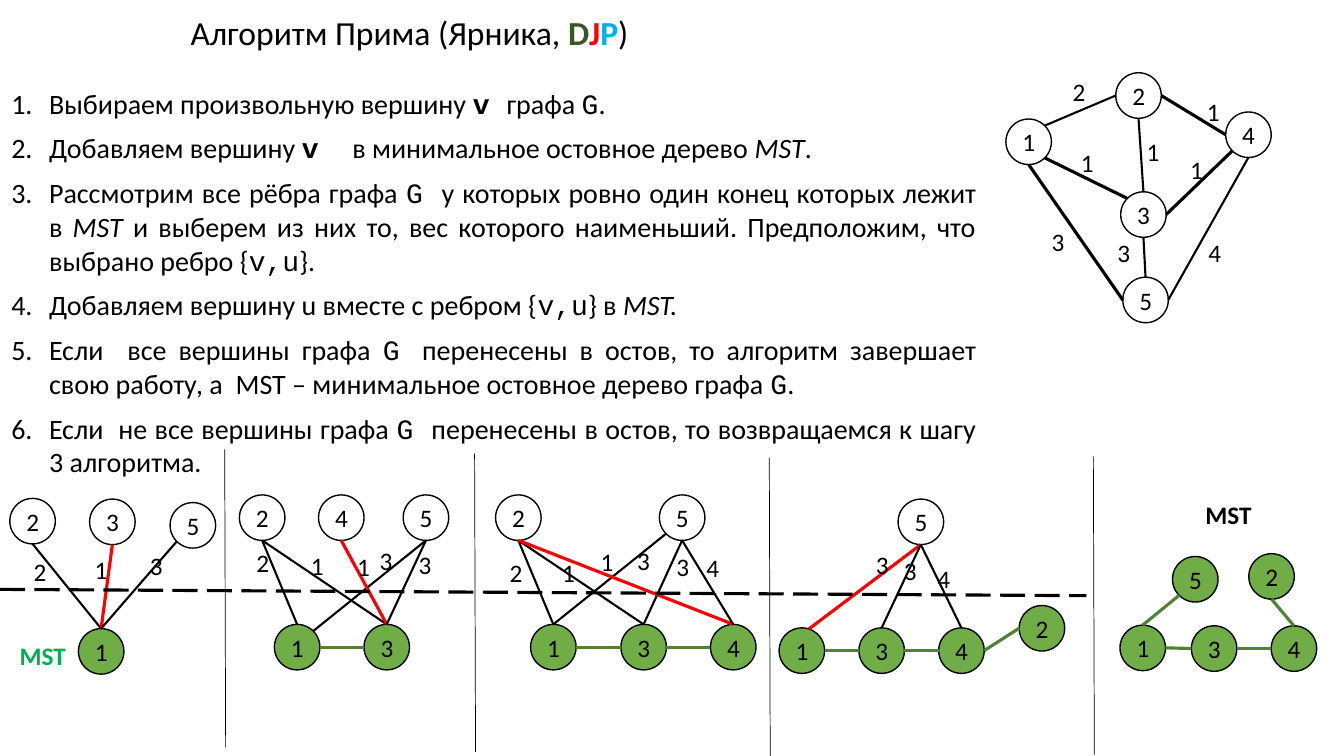
from math import cos, pi, sin
from lxml import etree
from pptx import Presentation
from pptx.dml.color import RGBColor
from pptx.enum.dml import MSO_LINE
from pptx.enum.shapes import MSO_CONNECTOR as Link, MSO_SHAPE as Form
from pptx.enum.text import MSO_ANCHOR as Anchor, MSO_AUTO_SIZE as Fit, PP_ALIGN as Align
from pptx.oxml.ns import qn
from pptx.util import Pt

HUES = {"ink": "000000", "red": "FF0000", "tree": "548235", "node": "70AD47",
        "mst": "00B050", "dark": "385723", "sky": "00B0F0"}
LINES = {"thin": ("ink", 1.5), "bold": ("ink", 2.25), "red": ("red", 2.25),
         "tree": ("tree", 2.25), "rule": ("ink", 0.5)}
SIZE = 32.5
N, NW, W, SW, S, SE, E, NE = range(8)

STEPS = [
    [("Выбираем произвольную вершину ", ""), ("v ", "mb"), ("графа ", ""), ("G", "m"), (".", "")],
    [("Добавляем вершину ", ""), ("v  ", "mb"), ("в минимальное остовное дерево ", ""),
     ("MST", "i"), (".", "")],
    [("Рассмотрим все рёбра графа ", ""), ("G ", "m"),
     ("у которых ровно один конец которых лежит в ", ""), ("MST ", "i"),
     ("и выберем из них то, вес которого наименьший. Предположим, что выбрано ребро {", ""),
     ("v,u", "m"), ("}.", "")],
    [("Добавляем вершину u вместе с ребром {", ""), ("v,u", "m"), ("} в ", ""), ("MST.", "i")],
    [("Если  все вершины графа ", ""), ("G ", "m"),
     ("перенесены в остов, то алгоритм завершает свою работу, а  MST – минимальное "
      "остовное дерево графа ", ""), ("G", "m"), (". ", "")],
    [("Если  не все вершины графа ", ""), ("G ", "m"),
     ("перенесены в остов, то возвращаемся к шагу 3 алгоритма.", "")],
]

GRAPHS = [
    {"box": (718, 52), "tree": "",
     "nodes": {"1": (0.5, 33), "2": (79, 0), "3": (82.5, 85), "4": (157.5, 28), "5": (84, 146)},
     "edges": [("1", SE, "3", NW, "bold"), ("3", N, "2", S, "thin"), ("3", E, "4", SW, "bold"),
               ("2", E, "4", W, "bold"), ("3", S, "5", N, "thin"), ("1", NE, "2", W, "thin"),
               ("1", S, "5", W, "bold"), ("4", S, "5", E, "thin")],
     "marks": [("2", 41, -1), ("1", 47, 50), ("1", 94, 42), ("1", 125, 55), ("3", 26, 106),
               ("3", 73, 114), ("4", 138, 114), ("1", 137, 13)]},
    {"box": (0, 354), "tree": "1",
     "nodes": {"1": (56, 95), "2": (7, 2), "3": (64, 2.5), "5": (121.5, 5)},
     "edges": [("2", S, "1", N, "thin"), ("1", N, "3", S, "red"), ("1", N, "5", SW, "thin")],
     "marks": [("2", 17, 40), ("1", 60.5, 38.5), ("3", 100, 35.5), ("MST", 7, 99.5, "mst")]},
    {"box": (161, 354), "tree": "13",
     "nodes": {"1": (35, 92), "2": (10, -0.5), "3": (99, 92), "4": (66.5, -0.5), "5": (127, -0.5)},
     "edges": [("1", E, "3", W, "tree"), ("2", S, "1", N, "thin"), ("1", NE, "5", S, "thin"),
               ("2", S, "3", N, "thin"), ("4", S, "3", N, "red"), ("5", S, "3", N, "thin")],
     "marks": [("2", 15, 33.5), ("1", 54, 35.5), ("3", 103, 32), ("1", 87, 36), ("3", 131, 35)]},
    {"box": (339, 354), "tree": "134",
     "nodes": {"1": (40, 92), "2": (15, -0.5), "3": (104.5, 92), "4": (168.5, 92),
               "5": (132, -0.5)},
     "edges": [("1", E, "3", W, "tree"), ("3", E, "4", W, "tree"), ("2", S, "1", N, "thin"),
               ("1", N, "5", SW, "thin"), ("2", S, "3", N, "thin"), ("5", S, "3", N, "thin"),
               ("2", S, "4", N, "red"), ("5", S, "4", N, "thin")],
     "marks": [("2", 18, 40.5), ("1", 55.5, 40.5), ("3", 109, 32), ("3", 137, 36), ("1", 83, 33),
               ("4", 158.5, 37)]},
    {"box": (550, 354), "tree": "1342",
     "nodes": {"1": (6.5, 94.5), "2": (178, 78.5), "3": (63.5, 94.5), "4": (120.5, 94.5),
               "5": (91.5, 2.5)},
     "edges": [("1", E, "3", W, "tree"), ("3", E, "4", W, "tree"), ("4", E, "2", W, "tree"),
               ("5", S, "1", NE + 0.6, "red"), ("5", S, "3", N, "thin"), ("5", S, "4", N, "thin")],
     "marks": [("3", 68.5, 35), ("3", 88.5, 39), ("4", 112.5, 45)]},
    {"box": (782, 354), "tree": "12345",
     "nodes": {"1": (18, 92.5), "2": (110, 41.5), "3": (69, 93), "4": (126, 93), "5": (55.5, 43.5)},
     "edges": [("1", E, "3", W, "tree"), ("3", E, "4", W, "tree"), ("1", N, "5", SW, "tree"),
               ("2", S, "4", N, "tree")],
     "marks": [("MST", 72, -1, "ink")]},
]


def hue(name):
    """Return the named colour."""
    return RGBColor.from_string(HUES[name])


def style(font, size, tone="ink", face="Calibri", bold=False):
    """Set size, colour, face and weight of a font."""
    font.size, font.name, font.bold = Pt(size), face, bold
    font.color.rgb = hue(tone)


def draw_line(slide, start, end, kind):
    """Draw a straight line of the given kind between two points."""
    line = slide.shapes.add_connector(Link.STRAIGHT, *[Pt(v) for v in (*start, *end)])
    tone, width = LINES[kind]
    line.line.color.rgb = hue(tone)
    line.line.width = Pt(width)
    etree.SubElement(line._element.spPr, qn("a:effectLst"))
    return line


def add_text(slide, box, wrap=True):
    """Add an empty text box that grows with its text."""
    frame = slide.shapes.add_textbox(*[Pt(v) for v in box]).text_frame
    frame.word_wrap = wrap
    frame.auto_size = Fit.SHAPE_TO_FIT_TEXT
    return frame


def draw_node(slide, name, x, y, done):
    """Draw a vertex, filled when it belongs to the tree."""
    node = slide.shapes.add_shape(Form.OVAL, Pt(x), Pt(y), Pt(SIZE), Pt(SIZE))
    node.shadow.inherit = False
    if done:
        node.fill.solid()
        node.fill.fore_color.rgb = hue("node")
    else:
        node.fill.background()
    node.line.color.rgb = hue("ink")
    node.line.width = Pt(1)
    frame = node.text_frame
    frame.vertical_anchor = Anchor.MIDDLE
    para = frame.paragraphs[0]
    para.text, para.alignment = name, Align.CENTER
    style(para.font, 18)


def draw_mark(slide, text, x, y, tone=None):
    """Write an edge weight, or a bold caption if it has a tone."""
    frame = add_text(slide, (x, y, 47.5 if tone else 24, 29), False)
    para = frame.paragraphs[0]
    para.text = text
    style(para.font, 18, tone or "ink", bold=bool(tone))


def draw_graph(slide, box, tree, nodes, edges, marks):
    """Draw a weighted graph relative to the corner of its box."""
    left, top = box
    half = SIZE / 2

    def rim(name, side):
        """Find the point on a vertex at the given eighth of a turn."""
        x, y = nodes[name]
        turn = side * pi / 4
        return left + x + half * (1 - sin(turn)), top + y + half * (1 - cos(turn))

    for name, (x, y) in nodes.items():
        draw_node(slide, name, left + x, top + y, name in tree)
    for a, out, b, into, kind in edges:
        draw_line(slide, rim(a, out), rim(b, into), kind)
    for text, x, y, *tone in marks:
        draw_mark(slide, text, left + x, top + y, *tone)


def draw_title(slide, box):
    """Write the heading with its coloured initials."""
    para = add_text(slide, box).paragraphs[0]
    para.alignment = Align.CENTER
    for text, tone, bold in [("Алгоритм Прима (Ярника, ", "ink", False), ("D", "dark", True),
                             ("J", "red", True), ("P", "sky", True), (")", "ink", False)]:
        run = para.add_run()
        run.text = text
        style(run.font, 24, tone, bold=bold)


def draw_steps(slide, box):
    """Write the numbered steps of the algorithm."""
    frame = add_text(slide, box)
    for i, step in enumerate(STEPS):
        para = frame.add_paragraph() if i else frame.paragraphs[0]
        para.alignment, para.space_after = Align.JUSTIFY, Pt(8)
        props = para._p.get_or_add_pPr()
        props.set("marL", str(Pt(27)))
        props.set("indent", str(-Pt(27)))
        etree.SubElement(props, qn("a:buFont"), typeface="+mj-lt")
        etree.SubElement(props, qn("a:buAutoNum"), type="arabicPeriod")
        for text, look in step:
            run = para.add_run()
            run.text = text
            style(run.font, 20, face="Courier New" if "m" in look else "Calibri", bold="b" in look)
            run.font.italic = "i" in look


def draw_rules(slide):
    """Draw the dashed cut and the dividers between stages."""
    cut = draw_line(slide, (0, 421), (776, 425.5), "bold")
    cut.line.dash_style = MSO_LINE.LONG_DASH
    for x, y in [(160.5, 321), (339, 324), (549.5, 327), (781, 326)]:
        draw_line(slide, (x, y), (x + 0.7, y + 213), "rule")


def main():
    """Build the slide and save it."""
    deck = Presentation()
    deck.slide_width, deck.slide_height = Pt(960), Pt(540)
    slide = deck.slides.add_slide(deck.slide_layouts[6])
    draw_title(slide, (70, 5, 445, 36))
    draw_steps(slide, (1, 58, 703.5, 290))
    for graph in GRAPHS:
        draw_graph(slide, **graph)
    draw_rules(slide)
    deck.save("out.pptx")


if __name__ == "__main__":
    main()
